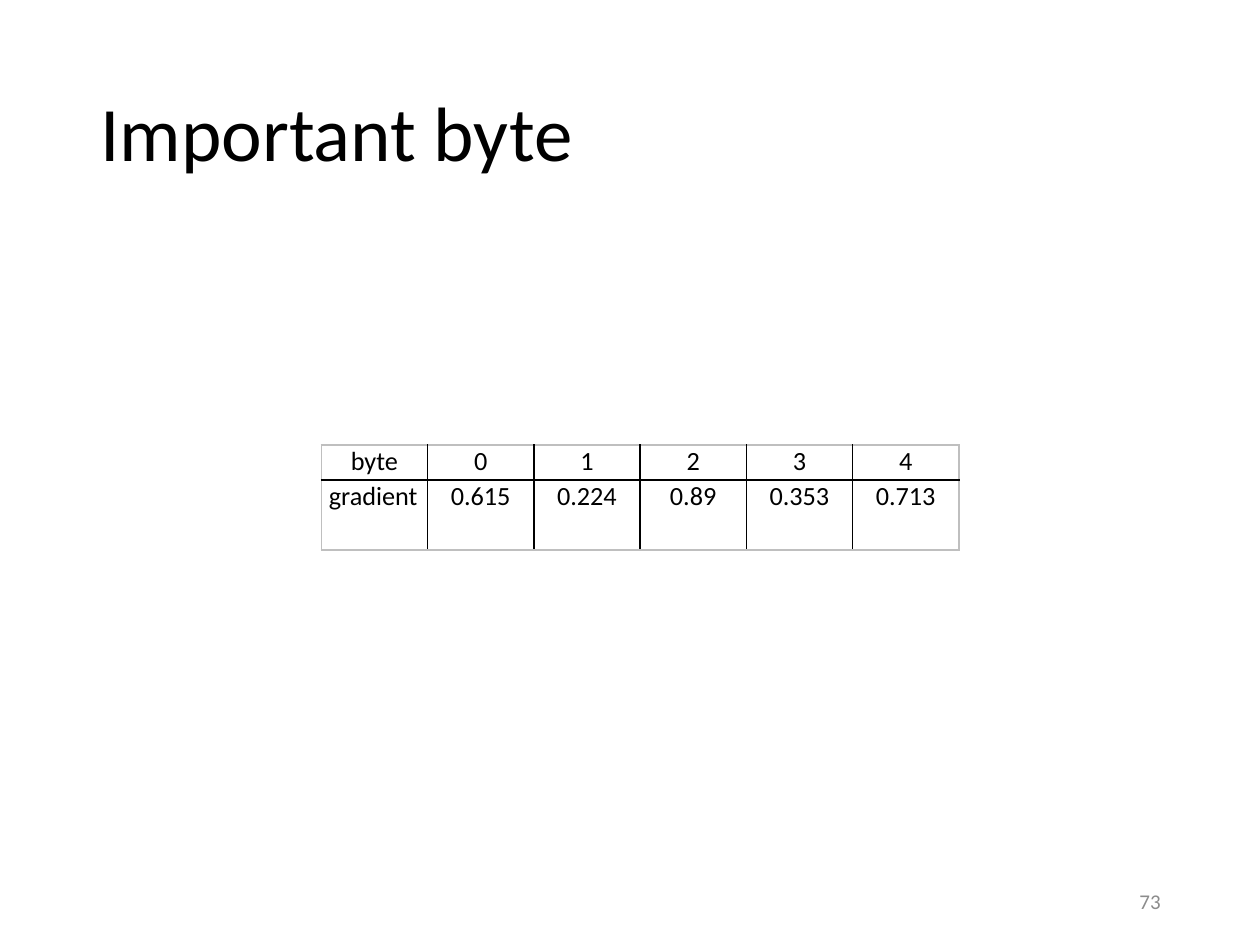
from lxml.etree import SubElement
from pptx import Presentation
from pptx.dml.color import RGBColor
from pptx.enum.text import MSO_ANCHOR, PP_ALIGN
from pptx.oxml.ns import qn
from pptx.util import Inches, Pt

BLACK = RGBColor(0x00, 0x00, 0x00)
WHITE = RGBColor(0xFF, 0xFF, 0xFF)
GRAY = RGBColor(0x8C, 0x8C, 0x8C)
EDGE = RGBColor(0xBF, 0xBF, 0xBF)

GRADIENTS = [
    ["byte", "0", "1", "2", "3", "4"],
    ["gradient", "0.615", "0.224", "0.89", "0.353", "0.713"],
]


def apply(target, values):
    for name, value in values.items():
        setattr(target, name, value)


class ByteSlide:
    """Style and current slide; positions are shares of the slide's size."""

    font = "Calibri"

    def __init__(self, deck):
        self.width, self.height = deck.slide_width, deck.slide_height
        self.slide = deck.slides.add_slide(deck.slide_layouts[6])

    def area(self, left, top, width, height):
        return (int(left * self.width), int(top * self.height),
                int(width * self.width), int(height * self.height))

    def fill_paragraph(self, paragraph, words, size, color, **layout):
        paragraph.text = words
        apply(paragraph, layout)
        apply(paragraph.font, {"name": self.font, "size": Pt(size)})
        paragraph.font.color.rgb = color

    def text(self, words, share, size, color, **layout):
        frame = self.slide.shapes.add_textbox(*self.area(*share)).text_frame
        apply(frame, {"word_wrap": True, "vertical_anchor": MSO_ANCHOR.MIDDLE})
        self.fill_paragraph(frame.paragraphs[0], words, size, color, **layout)

    def border(self, cell, side, color):
        line = SubElement(cell._tc.get_or_add_tcPr(), qn(f"a:{side}"),
                          w=str(Pt(1)))
        fill = SubElement(line, qn("a:solidFill"))
        SubElement(fill, qn("a:srgbClr"), val=str(color))

    def table(self, rows, share, row_shares, size):
        last_row, last_column = len(rows) - 1, len(rows[0]) - 1
        table = self.slide.shapes.add_table(
            len(rows), len(rows[0]), *self.area(*share)).table
        apply(table, {"first_row": False, "horz_banding": False})
        for row, row_share in zip(table.rows, row_shares):
            row.height = int(row_share * self.height)
        for r, values in enumerate(rows):
            for c, value in enumerate(values):
                cell = table.cell(r, c)
                apply(cell, {"margin_left": Inches(0.06),
                             "margin_right": Inches(0.06),
                             "margin_top": 0, "margin_bottom": 0})
                # Outer edges are gray, inner rules black
                outer = {"lnL": c == 0, "lnR": c == last_column,
                         "lnT": r == 0, "lnB": r == last_row}
                for side, is_edge in outer.items():
                    self.border(cell, side, EDGE if is_edge else BLACK)
                cell.fill.solid()
                cell.fill.fore_color.rgb = WHITE
                justified = value == "gradient"
                self.fill_paragraph(
                    cell.text_frame.paragraphs[0], value, size, BLACK,
                    alignment=PP_ALIGN.JUSTIFY if justified
                    else PP_ALIGN.CENTER)


def main():
    deck = Presentation()
    apply(deck, {"slide_width": Inches(10), "slide_height": Inches(7.5)})
    page = ByteSlide(deck)

    # Title
    page.text("Important byte", (0.07, 0.05, 0.86, 0.19), 44, BLACK,
              line_spacing=0.9)
    # Gradient of each byte
    page.table(GRADIENTS, (0.255, 0.471, 0.506, 0.111), (0.037, 0.074), 15)
    # Page number
    page.text("73", (0.706, 0.927, 0.225, 0.053), 12, GRAY,
              alignment=PP_ALIGN.RIGHT)

    deck.save("out.pptx")


if __name__ == "__main__":
    main()
